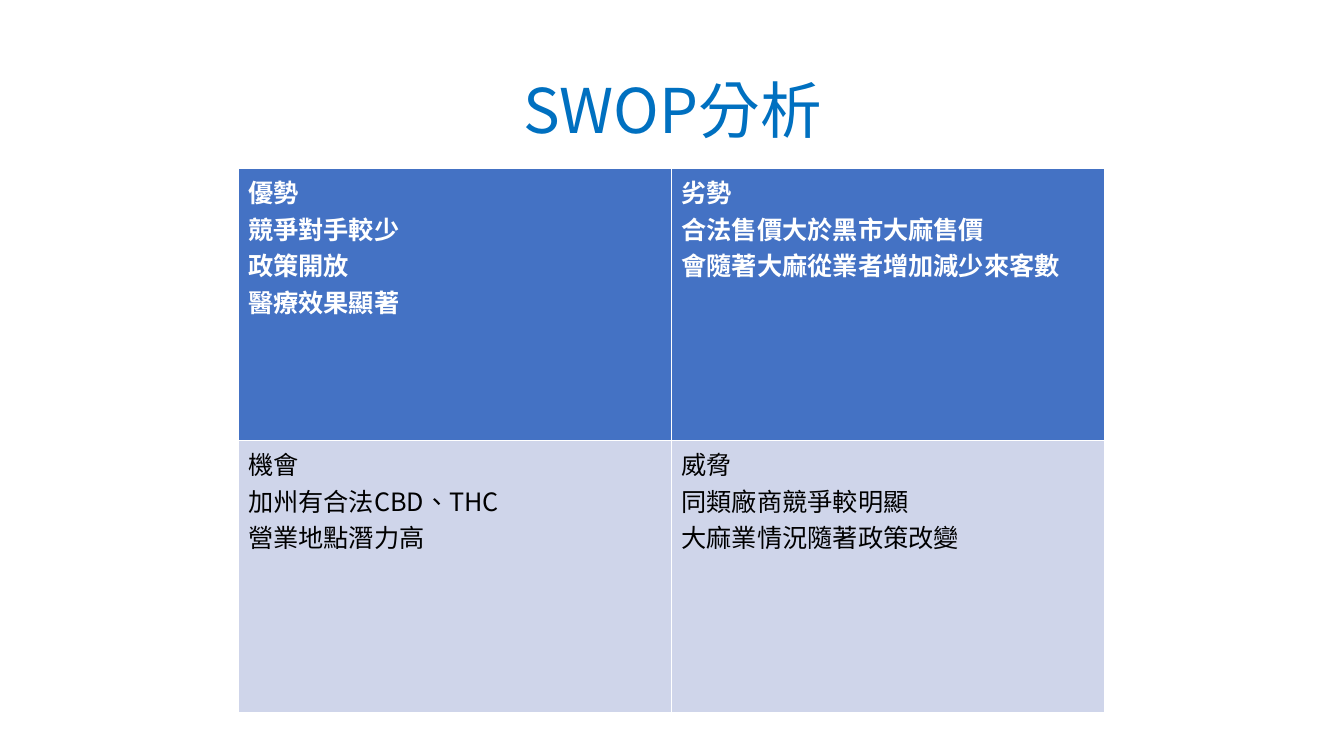
from lxml import etree
from pptx import Presentation
from pptx import util as u
from pptx.dml.color import RGBColor
from pptx.enum import text
from pptx.oxml.ns import qn

FONT = "Noto Sans CJK SC"
BLUE, HEADER, PALE = "0070C0", "4472C4", "CFD5EA"
WHITE, BLACK = "FFFFFF", "000000"

SWOT = [
    [["優勢", "競爭對手較少", "政策開放", "醫療效果顯著"],
     ["劣勢", "合法售價大於黑市大麻售價", "會隨著大麻從業者增加減少來客數"]],
    [["機會", "加州有合法CBD、THC", "營業地點潛力高"],
     ["威脅", "同類廠商競爭較明顯", "大麻業情況隨著政策改變"]],
]
ROW_STYLES = [(HEADER, WHITE, True), (PALE, BLACK, False)]


def px(n):
    """Convert px to EMU, at 100 px to the inch."""
    return u.Emu(n * 9144)


def rgb(value):
    return RGBColor.from_string(value)


def add_run(p, content, size, color, bold=False):
    r = p.add_run()
    r.text = content
    r.font.size = u.Pt(size)
    r.font.bold = bold
    r.font.color.rgb = rgb(color)
    r.font.name = FONT
    rpr = r.font._element
    rpr.set("lang", "zh-TW")
    etree.SubElement(rpr, qn("a:ea")).set("typeface", FONT)


def add_title(s, content, left, top, width, height):
    tf = s.shapes.add_textbox(px(left), px(top), px(width), px(height)).text_frame
    tf.word_wrap = True
    tf.vertical_anchor = text.MSO_ANCHOR.MIDDLE
    p = tf.paragraphs[0]
    p.alignment = text.PP_ALIGN.CENTER
    p.line_spacing = 0.9
    add_run(p, content, 44, BLUE)


def fill_cell(cell, lines, fill, color, bold):
    cell.fill.solid()
    cell.fill.fore_color.rgb = rgb(fill)
    tf = cell.text_frame
    for i, line in enumerate(lines):
        p = tf.add_paragraph() if i else tf.paragraphs[0]
        add_run(p, line, 18, color, bold)


def add_swot_table(s, left, top, width, height):
    """Add the 2 by 2 grid; the default table style draws its white borders."""
    table = s.shapes.add_table(2, 2, px(left), px(top), px(width), px(height)).table
    for row, cells, style in zip(table.rows, SWOT, ROW_STYLES):
        for cell, lines in zip(row.cells, cells):
            fill_cell(cell, lines, *style)


def main():
    prs = Presentation()
    prs.slide_width, prs.slide_height = px(1333), px(750)
    s = prs.slides.add_slide(prs.slide_layouts[6])
    add_title(s, "SWOP分析", 92, 40, 1150, 145)
    add_swot_table(s, 236, 167, 860, 540)
    prs.save("out.pptx")


if __name__ == "__main__":
    main()
